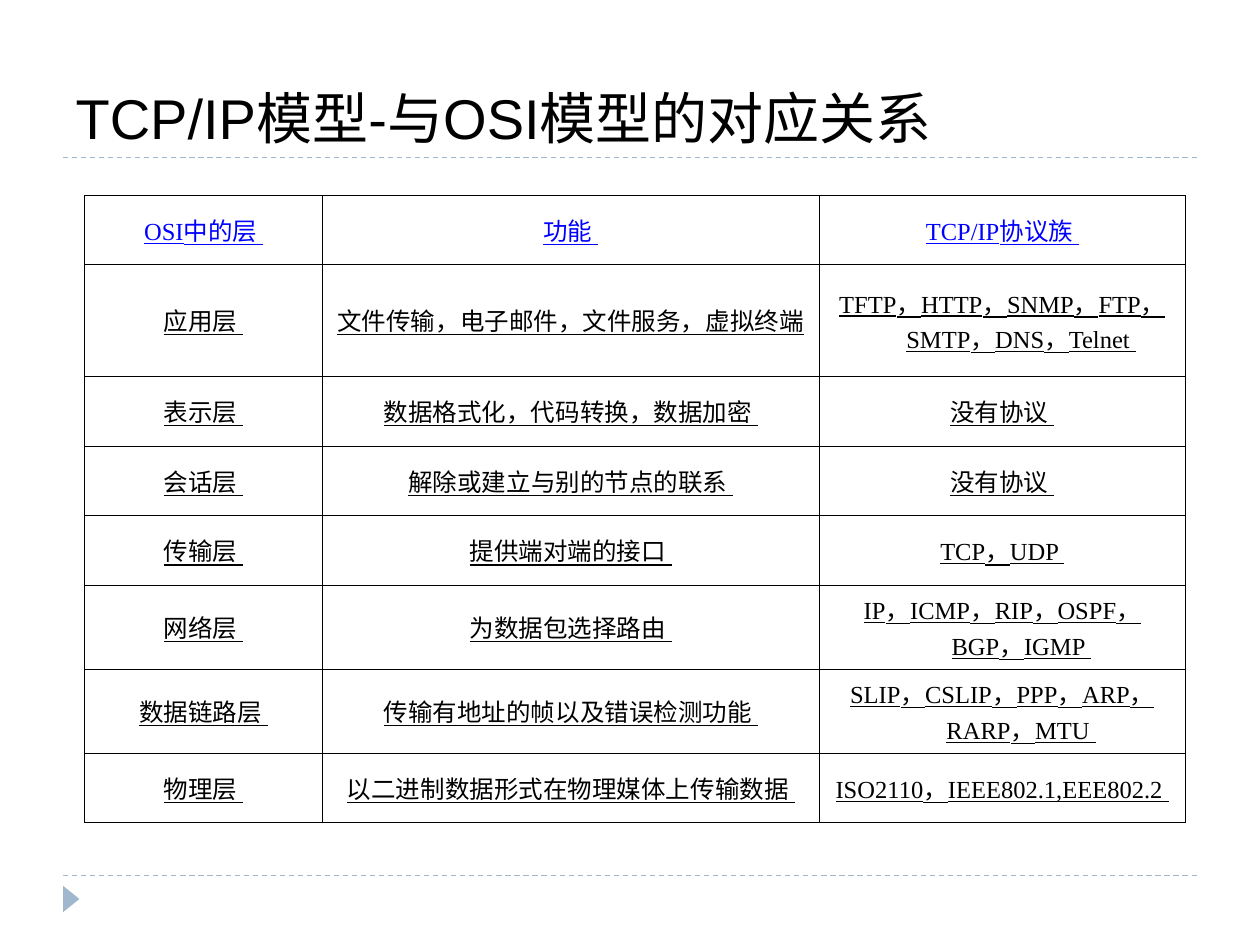
from lxml import etree
from pptx import Presentation
from pptx.dml.color import RGBColor
from pptx.enum.dml import MSO_LINE
from pptx.enum.shapes import MSO_CONNECTOR, MSO_SHAPE
from pptx.enum.text import MSO_ANCHOR, MSO_AUTO_SIZE, PP_ALIGN
from pptx.oxml.ns import qn
from pptx.util import Inches, Pt

DASH = MSO_LINE.DASH
STRAIGHT = MSO_CONNECTOR.STRAIGHT
TRIANGLE = MSO_SHAPE.ISOSCELES_TRIANGLE
BOTTOM, MIDDLE = MSO_ANCHOR.BOTTOM, MSO_ANCHOR.MIDDLE
NO_FIT = MSO_AUTO_SIZE.NONE
LEFT, CENTER = PP_ALIGN.LEFT, PP_ALIGN.CENTER

TITLE = "TCP/IP模型-与OSI模型的对应关系"
LAYERS = [
    ("OSI中的层 ", "功能 ", "TCP/IP协议族 "),
    ("应用层 ", "文件传输，电子邮件，文件服务，虚拟终端 ",
     "TFTP，HTTP，SNMP，FTP，SMTP，DNS，Telnet "),
    ("表示层 ", "数据格式化，代码转换，数据加密 ", "没有协议 "),
    ("会话层 ", "解除或建立与别的节点的联系 ", "没有协议 "),
    ("传输层 ", "提供端对端的接口 ", "TCP，UDP "),
    ("网络层 ", "为数据包选择路由 ", "IP，ICMP，RIP，OSPF，BGP，IGMP "),
    ("数据链路层 ", "传输有地址的帧以及错误检测功能 ",
     "SLIP，CSLIP，PPP，ARP，RARP，MTU "),
    ("物理层 ", "以二进制数据形式在物理媒体上传输数据 ",
     "ISO2110，IEEE802.1,EEE802.2 "),
]
WIDTHS = [18.9, 39.4, 29.1]
HEIGHTS = [5.5, 8.8, 5.6, 5.5, 5.5, 5.7, 5.7, 5.5]


def color(code):
    return RGBColor.from_string(code)


def unit(count):
    """Length of a number of cells in a grid of 100 columns by 75 rows."""
    return Inches(count / 10)


class Page:
    accent, ink, link = "9FB8CD", "000000", "0000FF"
    head, body = "Arial", "Times New Roman"

    def __init__(self, deck):
        self.slide = deck.slides.add_slide(deck.slide_layouts[5])
        self.shapes = self.slide.shapes

    def rule(self, row):
        line = self.shapes.add_connector(
            STRAIGHT, unit(5), unit(row), unit(95), unit(row))
        line.line.color.rgb = color(self.accent)
        line.line.width = Pt(0.75)
        line.line.dash_style = DASH
        etree.SubElement(line._element.spPr, qn("a:effectLst"))

    def marker(self, *box):
        mark = self.shapes.add_shape(TRIANGLE, *map(unit, box))
        mark.rotation = 90
        mark.shadow.inherit = False
        mark.fill.solid()
        mark.fill.fore_color.rgb = color(self.accent)
        mark.line.fill.background()

    def title(self, text, *box):
        shape = self.shapes.title
        shape.left, shape.top, shape.width, shape.height = map(unit, box)
        frame = shape.text_frame
        frame.text = text
        frame.auto_size = NO_FIT
        frame.vertical_anchor = BOTTOM
        par = frame.paragraphs[0]
        par.alignment = LEFT
        self.style(par, self.head, 32, self.ink)

    def style(self, par, name, size, code):
        par.font.name = name
        par.font.size = Pt(size)
        par.font.color.rgb = color(code)

    def table(self, left, top, widths, heights, rows):
        frame = self.shapes.add_table(
            len(rows), len(widths), unit(left), unit(top),
            unit(sum(widths)), unit(sum(heights)))
        grid = frame.table
        grid.first_row = grid.horz_banding = False
        for col, width in zip(grid.columns, widths):
            col.width = unit(width)
        for row, height in zip(grid.rows, heights):
            row.height = unit(height)
        for i, texts in enumerate(rows):
            for j, text in enumerate(texts):
                self.cell(grid.cell(i, j), text, self.ink if i else self.link)

    def cell(self, cell, text, code):
        cell.text = text
        cell.vertical_anchor = MIDDLE
        self.border(cell)
        cell.fill.background()
        par = cell.text_frame.paragraphs[0]
        par.alignment = CENTER
        props = par._p.get_or_add_pPr()
        props.set("marL", str(unit(3)))
        props.set("indent", str(unit(-3)))
        self.style(par, self.body, 14, code)
        par.font.underline = True

    def border(self, cell):
        props = cell._tc.get_or_add_tcPr()
        for side in "LRTB":
            edge = etree.SubElement(props, qn("a:ln" + side), w=str(Pt(0.34)))
            fill = etree.SubElement(edge, qn("a:solidFill"))
            etree.SubElement(fill, qn("a:srgbClr"), val=self.ink)


def main():
    deck = Presentation()
    deck.slide_width, deck.slide_height = unit(100), unit(75)
    page = Page(deck)
    for row in (69.5, 12.5):
        page.rule(row)
    page.marker(4.6, 70.7, 2.1, 1.3)
    page.title(TITLE, 5, 1.7, 90, 10.8)
    page.table(6.7, 15.5, WIDTHS, HEIGHTS, LAYERS)
    deck.save("out.pptx")


if __name__ == "__main__":
    main()
